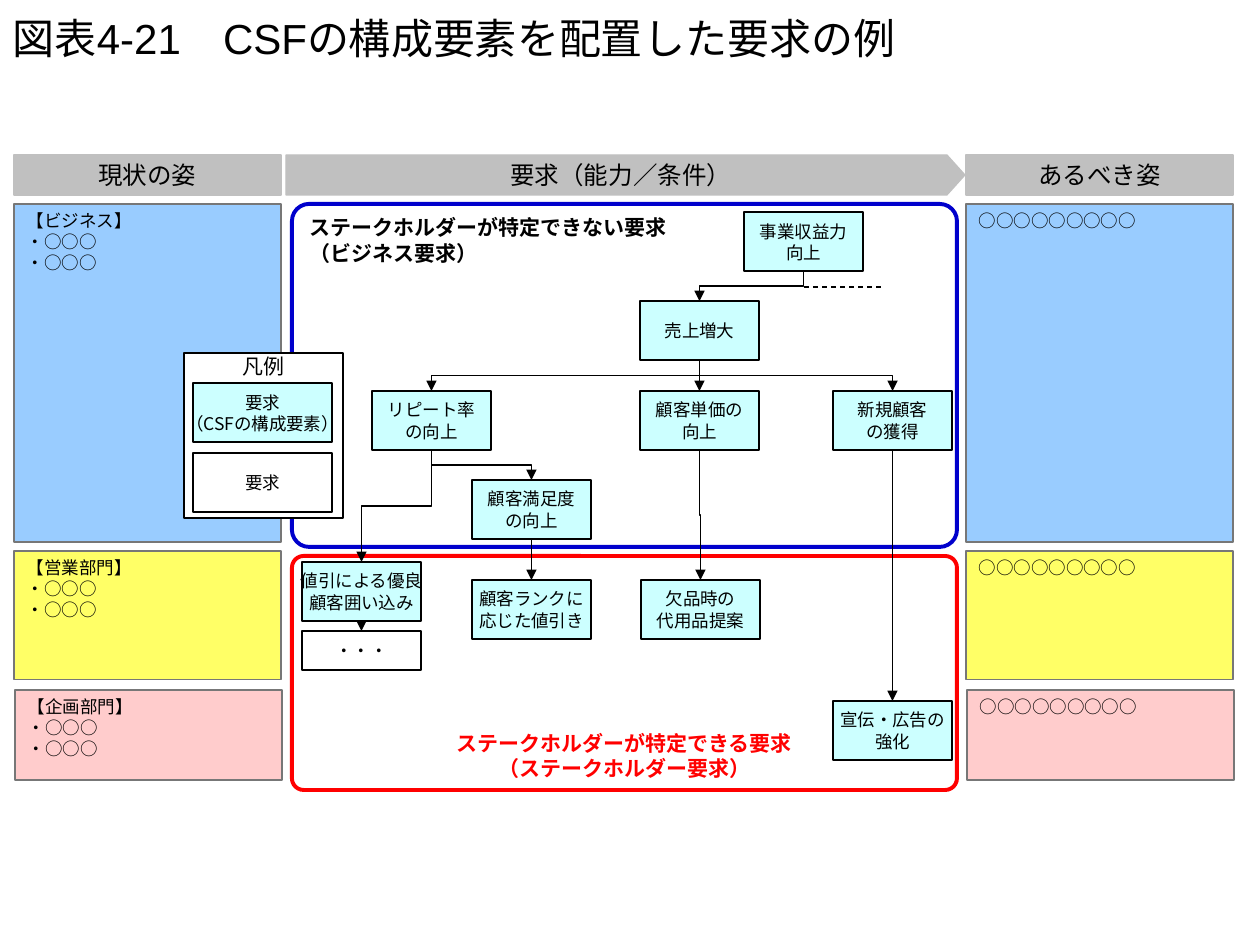
from lxml.etree import SubElement
from pptx import Presentation
from pptx.dml.color import RGBColor
from pptx.enum.dml import MSO_LINE
from pptx.enum.shapes import MSO_CONNECTOR, MSO_SHAPE
from pptx.enum.text import MSO_ANCHOR, PP_ALIGN
from pptx.oxml.ns import qn
from pptx.util import Emu, Pt

SCALE = 914400 / 126
COLORS = {
    "black": "000000", "white": "FFFFFF", "gray": "C0C0C0", "edge": "777777",
    "blue": "99CCFF", "yellow": "FFFF66", "pink": "FFCCCC", "cyan": "CCFFFF",
    "red": "FF0000", "navy": "0000CC",
}
JAPANESE = "Noto Sans CJK JP"
PANEL_INSETS = (13, 6, 13, 6)
BOX_INSETS = (2, 1, 2, 1)
BOX_WIDTH, BOX_HEIGHT = 119, 59
BOTTOM, TOP = 2, 0


def px(value):
    return Emu(round(value * SCALE))


def color(name):
    return RGBColor.from_string(COLORS[name])


class Diagram:
    def __init__(self, slide):
        self.slide = slide

    def add_text(self, shape, lines, size, font=JAPANESE, ink="black", bold=False,
                 align=PP_ALIGN.LEFT, anchor=MSO_ANCHOR.TOP, insets=PANEL_INSETS,
                 wrap=True, hanging=0):
        frame = shape.text_frame
        frame.word_wrap = wrap
        frame.vertical_anchor = anchor
        (frame.margin_left, frame.margin_top,
         frame.margin_right, frame.margin_bottom) = map(px, insets)
        for index, line in enumerate(lines):
            paragraph = frame.paragraphs[0] if index == 0 else frame.add_paragraph()
            paragraph.alignment = align
            if hanging:
                properties = paragraph._p.get_or_add_pPr()
                properties.set("marL", str(px(hanging)))
                properties.set("indent", str(-px(hanging)))
            run = paragraph.add_run()
            run.text = line
            run.font.size = Pt(size)
            run.font.bold = bold
            run.font.color.rgb = color(ink)
            run.font.name = font
            SubElement(run._r.get_or_add_rPr(), qn("a:ea")).set("typeface", JAPANESE)

    def title(self, text):
        box = self.slide.shapes.add_textbox(0, 0, px(1260), px(76))
        self.add_text(box, [text], 24, font="Arial", anchor=MSO_ANCHOR.MIDDLE)

    def shape(self, kind, left, top, width, height, fill, line, weight=0.75):
        shape = self.slide.shapes.add_shape(
            kind, px(left), px(top), px(width), px(height))
        shape.shadow.inherit = False
        if fill:
            shape.fill.solid()
            shape.fill.fore_color.rgb = color(fill)
        else:
            shape.fill.background()
        shape.line.color.rgb = color(line)
        shape.line.width = Pt(weight)
        return shape

    def heading(self, text, left, width, kind=MSO_SHAPE.RECTANGLE):
        shape = self.shape(kind, left, 155, width, 40, "gray", "gray")
        if kind == MSO_SHAPE.PENTAGON:
            shape.adjustments[0] = 0.45
        self.add_text(shape, [text], 14, font="Times New Roman", align=PP_ALIGN.CENTER,
                      anchor=MSO_ANCHOR.MIDDLE, insets=(6, 6, 6, 6))

    def panel(self, lines, left, top, height, fill, hanging=0):
        shape = self.shape(MSO_SHAPE.RECTANGLE, left, top, 267, height, fill, "edge")
        self.add_text(shape, lines, 10, hanging=hanging)

    def frame(self, lines, top, height, line, ink, **style):
        shape = self.shape(MSO_SHAPE.ROUNDED_RECTANGLE, 292, top, 665, height,
                           None, line, 2.25)
        shape.adjustments[0] = 0.05
        self.add_text(shape, lines, 12, ink=ink, bold=True, **style)

    def box(self, lines, left, top, width=BOX_WIDTH, height=BOX_HEIGHT, fill="cyan"):
        shape = self.shape(MSO_SHAPE.RECTANGLE, left, top, width, height, fill, "black")
        self.add_text(shape, lines, 10, align=PP_ALIGN.CENTER, anchor=MSO_ANCHOR.MIDDLE,
                      insets=BOX_INSETS, wrap=False)
        return shape

    def line(self, start, end, kind=MSO_CONNECTOR.STRAIGHT):
        connector = self.slide.shapes.add_connector(kind, *start, *end)
        connector.line.color.rgb = color("black")
        connector.line.width = Pt(0.75)
        SubElement(connector._element.spPr, qn("a:effectLst"))
        return connector

    def arrow(self, source, target):
        start_x = source.left + source.width // 2
        start_y = source.top + source.height
        end_x = target.left + target.width // 2
        straight = start_x == end_x
        kind = MSO_CONNECTOR.STRAIGHT if straight else MSO_CONNECTOR.ELBOW
        connector = self.line((start_x, start_y), (end_x, target.top), kind)
        connector.begin_connect(source, BOTTOM)
        connector.end_connect(target, TOP)
        if not straight:
            self.turn_downward(connector, start_x, start_y, end_x, target.top)
        ending = SubElement(connector.line._get_or_add_ln(), qn("a:tailEnd"))
        ending.set("type", "triangle")

    def turn_downward(self, connector, start_x, start_y, end_x, end_y):
        # An elbow leaves sideways, so it is turned to leave downward
        transform = connector._element.spPr.find(qn("a:xfrm"))
        transform.attrib.clear()
        transform.set("rot", "5400000" if end_x < start_x else "16200000")
        if end_x > start_x:
            transform.set("flipH", "1")
        length, spread = end_y - start_y, abs(end_x - start_x)
        connector.left = Emu((start_x + end_x - length) // 2)
        connector.top = Emu((start_y + end_y - spread) // 2)
        connector.width, connector.height = Emu(length), Emu(spread)


def main():
    presentation = Presentation()
    presentation.slide_width, presentation.slide_height = px(1260), px(945)
    slide = presentation.slides.add_slide(presentation.slide_layouts[6])
    diagram = Diagram(slide)
    diagram.title("図表4-21　CSFの構成要素を配置した要求の例")

    # Column headings
    diagram.heading("要求（能力／条件）", 286, 679, MSO_SHAPE.PENTAGON)
    diagram.heading("現状の姿", 14, 267)
    diagram.heading("あるべき姿", 966, 267)

    # Current and desired state of each department
    for name, top, height, fill, shift in [
        ("【ビジネス】", 204, 338, "blue", 0),
        ("【営業部門】", 551, 129, "yellow", 0),
        ("【企画部門】", 690, 90, "pink", 1),
    ]:
        diagram.panel([name, "・○○○", "・○○○"], 14 + shift, top, height, fill, 13)
        diagram.panel(["○○○○○○○○○"], 966 + shift, top, height, fill)

    # Frames around the two kinds of requirement
    diagram.frame(["ステークホルダーが特定できる要求", "（ステークホルダー要求）"],
                  556, 234, "red", "red", align=PP_ALIGN.CENTER,
                  anchor=MSO_ANCHOR.BOTTOM)
    diagram.frame(["ステークホルダーが特定できない要求", "（ビジネス要求）"],
                  204, 343, "navy", "black")

    # Legend
    legend = diagram.shape(MSO_SHAPE.RECTANGLE, 184, 353, 159, 165, "white", "black")
    diagram.add_text(legend, ["凡例"], 12, align=PP_ALIGN.CENTER,
                     insets=(13, 1, 13, 6), wrap=False)
    factor = diagram.box(["要求", "（CSFの構成要素）"], 193, 383, width=139)
    plain = diagram.box(["要求"], 193, 453, width=139, fill="white")
    slide.shapes.add_group_shape([legend, factor, plain])

    # Requirements
    profit = diagram.box(["事業収益力", "向上"], 744, 212)
    sales = diagram.box(["売上増大"], 640, 301)
    repeat = diagram.box(["リピート率", "の向上"], 372, 391)
    unit_price = diagram.box(["顧客単価の", "向上"], 640, 391)
    new_customers = diagram.box(["新規顧客", "の獲得"], 833, 391)
    satisfaction = diagram.box(["顧客満足度", "の向上"], 472, 480)
    retention = diagram.box(["値引による優良", "顧客囲い込み"], 302, 562)
    more = diagram.box(["・・・"], 302, 631, height=39, fill="white")
    rank_discount = diagram.box(["顧客ランクに", "応じた値引き"], 472, 580)
    substitute = diagram.box(["欠品時の", "代用品提案"], 641, 580)
    advertising = diagram.box(["宣伝・広告の", "強化"], 833, 701)

    # Links from each requirement to those that support it
    for source, target in [
        (profit, sales), (sales, repeat), (sales, unit_price),
        (sales, new_customers), (repeat, retention), (repeat, satisfaction),
        (unit_price, substitute), (new_customers, advertising),
        (retention, more), (satisfaction, rank_discount),
    ]:
        diagram.arrow(source, target)
    omitted = diagram.line((px(804), px(287)), (px(885), px(287)))
    omitted.line.dash_style = MSO_LINE.DASH

    presentation.save("out.pptx")


if __name__ == "__main__":
    main()
